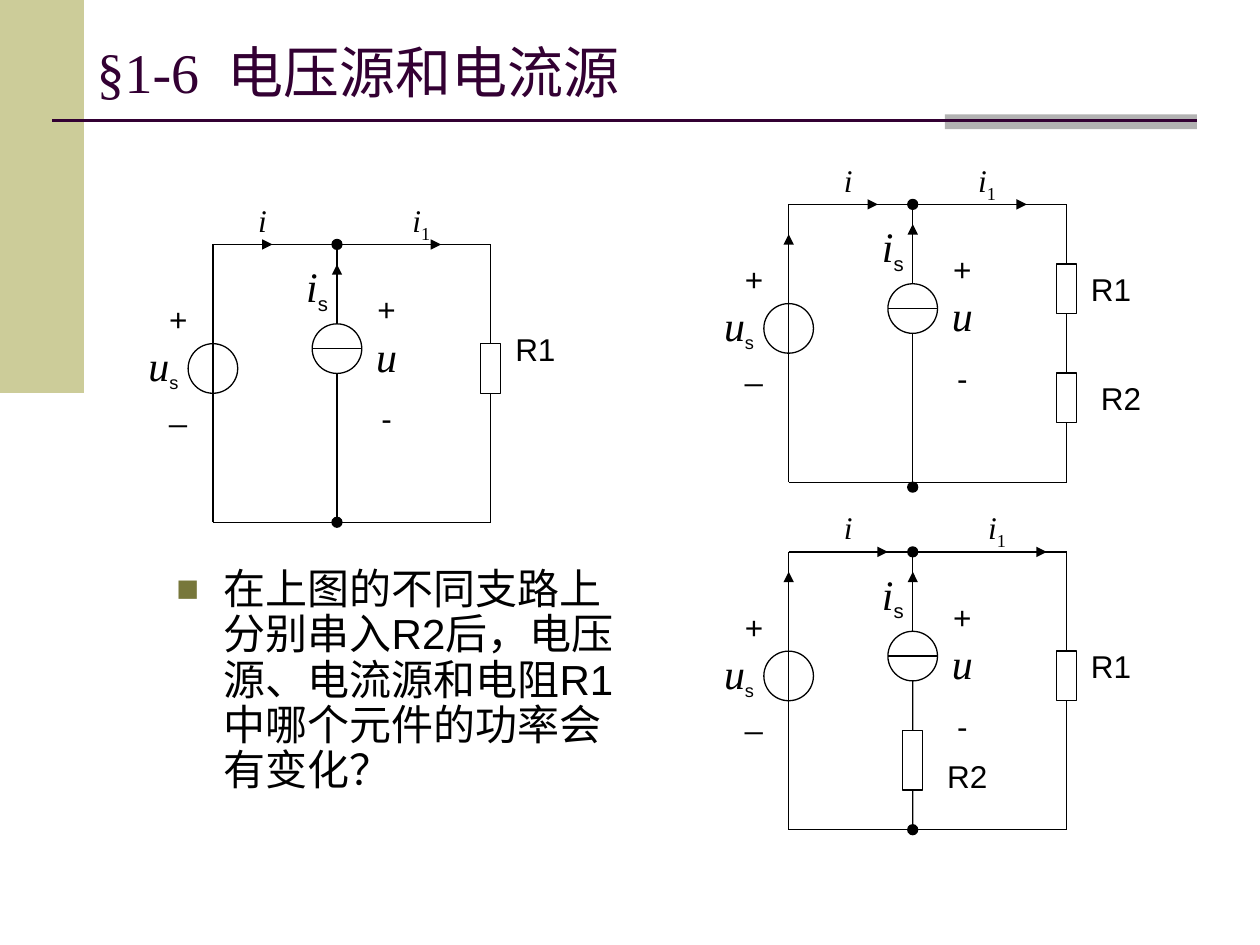
import pptx
import pptx.dml.color
import pptx.enum.shapes
import pptx.enum.text
import pptx.oxml.ns
import pptx.util
from lxml import etree

Pt = pptx.util.Pt
RGBColor = pptx.dml.color.RGBColor
MSO_SHAPE = pptx.enum.shapes.MSO_SHAPE
PP_ALIGN = pptx.enum.text.PP_ALIGN
MSO_ANCHOR = pptx.enum.text.MSO_ANCHOR
MSO_AUTO_SIZE = pptx.enum.text.MSO_AUTO_SIZE
qn = pptx.oxml.ns.qn

BLACK = RGBColor(0x00, 0x00, 0x00)
PLUM = RGBColor(0x33, 0x00, 0x33)
KHAKI = RGBColor(0xCC, 0xCC, 0x99)
GRAY = RGBColor(0xB2, 0xB2, 0xB2)
OLIVE = RGBColor(0x77, 0x77, 0x3B)

SANS = "Arial"
SERIF = "Times New Roman"
TOP, BOTTOM = 0, 2  # connection sites of a rectangle

GRID = 5.67  # circuit drawing step, in points
SIDE = 28  # circuit width and height, in grid steps
MIDDLE = 12.5  # column of the current source branch

# A label is a list of (text, font, size, subscript) spans.
PLUS = [("+", SANS, 18, False)]
MINUS = [("-", SANS, 18, False)]
LOW_MINUS = [("_", SANS, 18, False)]
VOLTAGE = [("u", SERIF, 24, False)]
SOURCE_VOLTAGE = VOLTAGE + [("s", SANS, 18, True)]
SOURCE_CURRENT = [("i", SERIF, 24, False), ("s", SANS, 20, True)]
CURRENT = [("i", SERIF, 18, False)]
CURRENT_1 = CURRENT + [("1", SERIF, 18, True)]

# Labels and their left, top, width, the same in every circuit
COMMON_LABELS = [
    (PLUS, -6, 5, 5), (LOW_MINUS, -6, 14, 5), (SOURCE_VOLTAGE, -10, 9, 10),
    (VOLTAGE, 13, 8, 9), (SOURCE_CURRENT, 7, 1, 7),
    (PLUS, 15, 4, 5), (MINUS, 15, 15, 5),
]

# Resistors are (top, height); arrows are (start, end); names are (text, left, top, width).
CIRCUITS = [
    dict(left=121.7, top=139.7, i_left=3, i1_left=18, i_arrow=(1, 6), i1_arrow=(15, 23),
         left_arrow=None, lower_dot=28, right=[(10, 5)], middle=[],
         names=[("R1", 28, 8, 9)]),
    dict(left=450.7, top=116.8, i_left=4, i1_left=17, i_arrow=(3, 9), i1_arrow=(16, 24),
         left_arrow=(8, 3), lower_dot=28.5, right=[(6, 5), (17, 5)], middle=[],
         names=[("R1", 29, 6, 7), ("R2", 30, 17, 7)]),
    dict(left=450.7, top=315.4, i_left=4, i1_left=18, i_arrow=(4, 10), i1_arrow=(17, 26),
         left_arrow=(6, 2), lower_dot=28, right=[(10, 5)], middle=[(18, 6)],
         names=[("R1", 28, 9, 9), ("R2", 14, 20, 8)]),
]


class SlideArtist:
    def __init__(self, deck):
        self.page = deck.slides.add_slide(deck.slide_layouts[1])
        self.left = self.top = 0

    def x(self, column):
        return Pt(round(self.left + column * GRID, 2))

    def y(self, row):
        return Pt(round(self.top + row * GRID, 2))

    def shape(self, kind, left, top, width, height, fill=None, line=None):
        shape = self.page.shapes.add_shape(kind, left, top, width, height)
        shape.shadow.inherit = False
        if fill is None:
            shape.fill.background()
        else:
            shape.fill.solid()
            shape.fill.fore_color.rgb = fill
        if line is None:
            shape.line.fill.background()
        else:
            shape.line.color.rgb = line
            shape.line.width = Pt(0.75)
        return shape

    def line(self, start, end, color=BLACK, width=0.75, arrow=False):
        line = self.page.shapes.add_connector(
            pptx.enum.shapes.MSO_CONNECTOR.STRAIGHT, *start, *end)
        line.line.color.rgb = color
        line.line.width = Pt(width)
        properties = line._element.spPr
        if arrow:
            etree.SubElement(properties.find(qn("a:ln")), qn("a:tailEnd"), type="triangle")
        etree.SubElement(properties, qn("a:effectLst"))
        return line

    def span(self, para, text, font, size, color, italic=False, subscript=False):
        span = para.add_run()
        span.text = text
        span.font.name = font
        span.font.size = Pt(size)
        span.font.color.rgb = color
        span.font.italic = italic
        if subscript:
            span._r.get_or_add_rPr().set("baseline", "-25000")

    def placeholder(self, box, left, top, width, height, anchor):
        """Place a template placeholder and return its first paragraph."""
        box.left, box.top, box.width, box.height = Pt(left), Pt(top), Pt(width), Pt(height)
        frame = box.text_frame
        frame.word_wrap = True
        frame.auto_size = MSO_AUTO_SIZE.NONE
        frame.vertical_anchor = anchor
        para = frame.paragraphs[0]
        para.alignment = PP_ALIGN.LEFT
        para.space_before = Pt(0)
        return para

    def title(self, text):
        para = self.placeholder(self.page.shapes.title, 48, 21.6, 636, 38, MSO_ANCHOR.MIDDLE)
        self.span(para, text, SERIF, 32, PLUM)

    def question(self, text):
        para = self.placeholder(self.page.placeholders[1], 93.6, 321, 266.4, 145, MSO_ANCHOR.TOP)
        properties = para._p.get_or_add_pPr()
        properties.set("marL", str(Pt(27)))
        properties.set("indent", str(-Pt(27)))
        color = etree.SubElement(properties, qn("a:buClr"))
        etree.SubElement(color, qn("a:srgbClr"), val=str(OLIVE))
        etree.SubElement(properties, qn("a:buSzPct"), val="90000")
        etree.SubElement(properties, qn("a:buFont"), typeface=SANS)
        etree.SubElement(properties, qn("a:buChar"), char="■")
        para.line_spacing = 0.9
        self.span(para, text, SANS, 24, BLACK)

    def label(self, spans, column, row, columns):
        height = 36 if spans[0][2] == 24 else 28.8
        box = self.page.shapes.add_textbox(
            self.x(column), self.y(row), Pt(round(columns * GRID, 2)), Pt(height))
        box.text_frame.word_wrap = True
        box.text_frame.auto_size = MSO_AUTO_SIZE.SHAPE_TO_FIT_TEXT
        para = box.text_frame.paragraphs[0]
        para.alignment = PP_ALIGN.CENTER
        for text, font, size, subscript in spans:
            italic = font == SERIF and not subscript
            self.span(para, text, font, size, BLACK, italic, subscript)

    def symbol(self, kind, column, row, columns, rows, fill=None):
        """Draw a circuit symbol centred on a column."""
        return self.shape(kind, self.x(column - columns / 2), self.y(row),
                          Pt(round(columns * GRID, 2)), Pt(round(rows * GRID, 2)), fill, BLACK)

    def wire(self, start, end, arrow=False):
        return self.line((self.x(start[0]), self.y(start[1])),
                         (self.x(end[0]), self.y(end[1])), arrow=arrow)

    def branch(self, column, first_row, resistors):
        """Run a wire down to the bottom rail through the given resistors."""
        row, above = first_row, None
        for top, height in resistors + [(SIDE, 0)]:
            wire = self.wire((column, row), (column, top))
            if above is not None:
                wire.begin_connect(above, BOTTOM)
            if height:
                above = self.symbol(MSO_SHAPE.RECTANGLE, column, top, 2, height)
                wire.end_connect(above, TOP)
            row = top + height

    def circuit(self, left, top, i_left, i1_left, i_arrow, i1_arrow, left_arrow,
                lower_dot, right, middle, names):
        self.left, self.top = left, top
        for row in (0, SIDE):
            self.wire((0, row), (SIDE, row))
        self.branch(0, 0, [])
        self.branch(SIDE, 0, right)
        self.wire((MIDDLE, 0), (MIDDLE, 8))
        self.branch(MIDDLE, 13, middle)
        self.symbol(MSO_SHAPE.OVAL, 0, 10, 5, 5)
        self.symbol(MSO_SHAPE.OVAL, MIDDLE, 8, 5, 5)
        self.wire((MIDDLE - 2.5, 10.5), (MIDDLE + 2.5, 10.5))
        for start, end in (i_arrow, i1_arrow):
            self.wire((start, 0), (end, 0), arrow=True)
        self.wire((MIDDLE, 6), (MIDDLE, 2), arrow=True)
        if left_arrow:
            self.wire((0, left_arrow[0]), (0, left_arrow[1]), arrow=True)
        for row in (0, lower_dot):
            self.symbol(MSO_SHAPE.OVAL, MIDDLE, row - 0.5, 1, 1, BLACK)
        for label in COMMON_LABELS:
            self.label(*label)
        self.label(CURRENT, i_left, -5, 4)
        self.label(CURRENT_1, i1_left, -5, 6)
        for name, *place in names:
            self.label([(name, SANS, 18, False)], *place)


def main():
    deck = pptx.Presentation()
    deck.slide_width, deck.slide_height = Pt(720), Pt(540)
    artist = SlideArtist(deck)
    artist.shape(MSO_SHAPE.RECTANGLE, 0, 0, Pt(48), Pt(224.6), KHAKI)
    artist.shape(MSO_SHAPE.RECTANGLE, Pt(540), Pt(65.4), Pt(144), Pt(8.5), GRAY)
    artist.line((Pt(30), Pt(69)), (Pt(684), Pt(69)), PLUM, 1.5)
    artist.title("§1-6  电压源和电流源")
    artist.question("在上图的不同支路上分别串入R2后，电压源、电流源和电阻R1中哪个元件的功率会有变化？")
    for circuit in CIRCUITS:
        artist.circuit(**circuit)
    deck.save("out.pptx")


if __name__ == "__main__":
    main()
